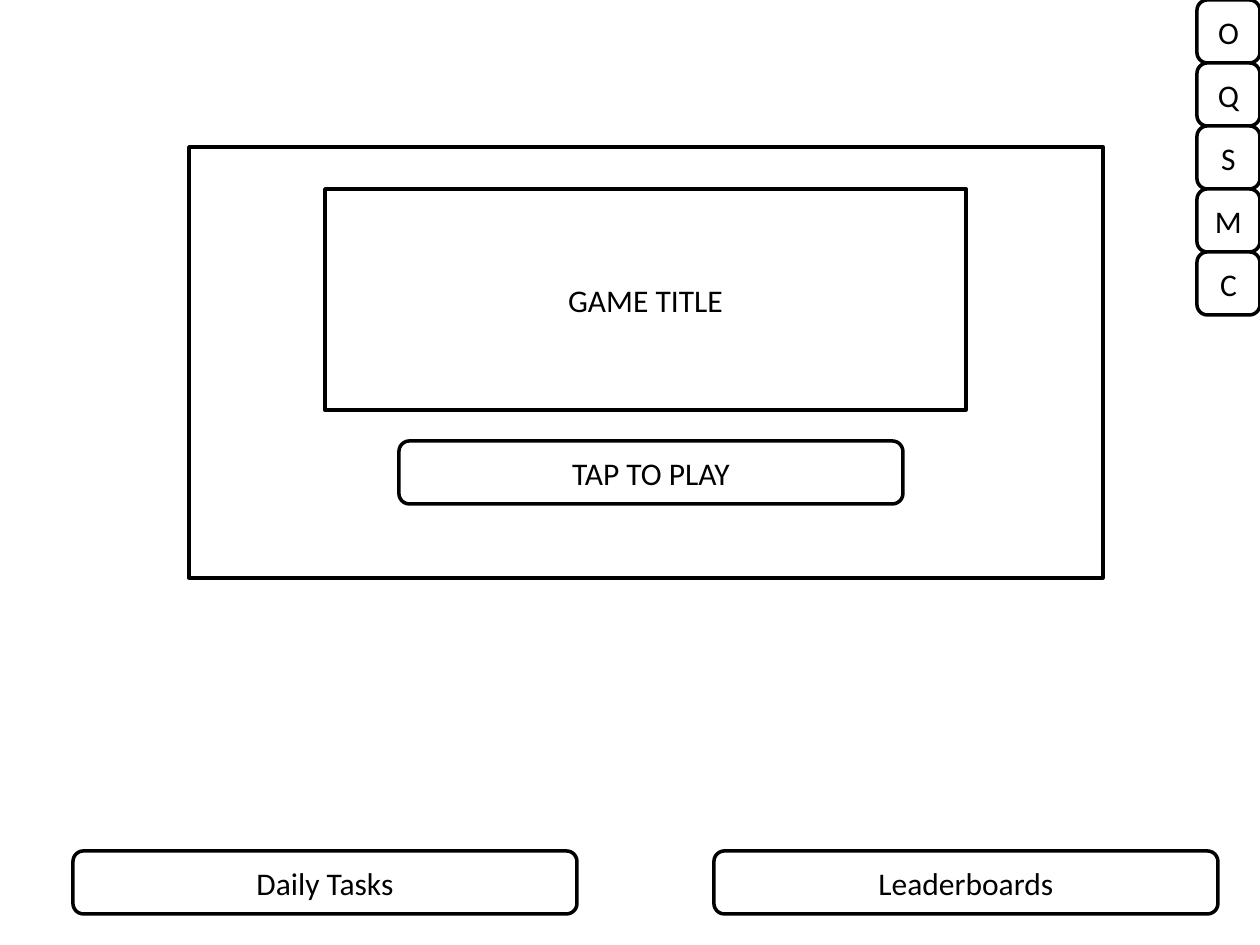
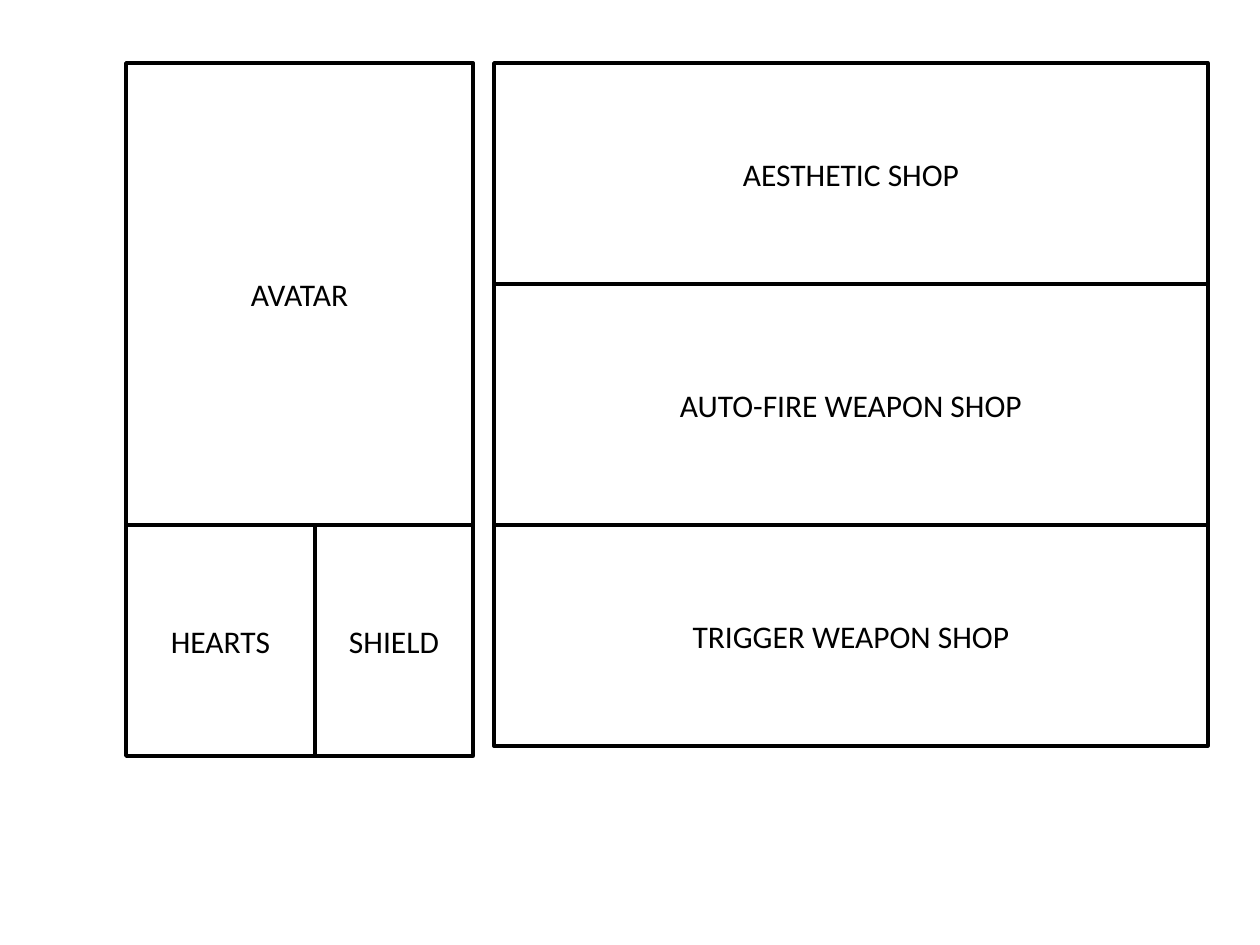
import pptx
import pptx.util
import pptx.dml.color
import pptx.enum.shapes
import pptx.enum.text

BLACK = pptx.dml.color.RGBColor(0x00, 0x00, 0x00)
WHITE = pptx.dml.color.RGBColor(0xFF, 0xFF, 0xFF)
FONT = "Calibri"
PX = pptx.util.Inches(1) / 126
RECT = pptx.enum.shapes.MSO_SHAPE.RECTANGLE
ROUNDED = pptx.enum.shapes.MSO_SHAPE.ROUNDED_RECTANGLE
BUTTON_W, BUTTON_H = 504, 63


def px(n):
    """Turn pixels into EMU."""
    return pptx.util.Emu(round(n * PX))


def box(s, x, y, w, h, text="", kind=RECT):
    """Add an outlined wireframe box with an optional centred label."""
    sp = s.shapes.add_shape(kind, px(x), px(y), px(w), px(h))
    sp.shadow.inherit = False
    sp.fill.solid()
    sp.fill.fore_color.rgb = WHITE
    sp.line.color.rgb = BLACK
    sp.line.width = pptx.util.Pt(2)
    if text:
        tf = sp.text_frame
        tf.text = text
        tf.vertical_anchor = pptx.enum.text.MSO_ANCHOR.MIDDLE
        p = tf.paragraphs[0]
        p.alignment = pptx.enum.text.PP_ALIGN.CENTER
        font = p.runs[0].font
        font.name = FONT
        font.size = pptx.util.Pt(18)
        font.color.rgb = BLACK


def button(s, x, y, text, w=BUTTON_W):
    """Add a rounded button of the standard height."""
    box(s, x, y, w, BUTTON_H, text, ROUNDED)


def title_screen(s):
    """Draw the start screen with its menu buttons."""
    box(s, 189, 147, 914, 431)
    box(s, 325, 189, 641, 221, "GAME TITLE")
    button(s, 399, 441, "TAP TO PLAY")
    button(s, 714, 851, "Leaderboards")
    button(s, 73, 851, "Daily Tasks")
    for i, letter in enumerate("OQSMC"):
        button(s, 1197, i * BUTTON_H, letter, BUTTON_H)


def shop_screen(s):
    """Draw the avatar panel, its stats and the stack of shops."""
    left, top, middle = 126, 63, 525
    box(s, left, top, 347, middle - top, "AVATAR")
    y = top
    for text, h in (("AESTHETIC SHOP", 221),
                    ("AUTO-FIRE WEAPON SHOP", 241),
                    ("TRIGGER WEAPON SHOP", 221)):
        box(s, 494, y, 714, h, text)
        y += h
    x = left
    for text, w in (("HEARTS", 189), ("SHIELD", 158)):
        box(s, x, middle, w, 231, text)
        x += w


def main():
    """Build and save the presentation."""
    prs = pptx.Presentation()
    prs.slide_width = px(1260)
    prs.slide_height = px(945)
    for draw in (title_screen, shop_screen):
        s = prs.slides.add_slide(prs.slide_layouts[6])
        s.background.fill.solid()
        s.background.fill.fore_color.rgb = WHITE
        draw(s)
    prs.save("out.pptx")


main()
